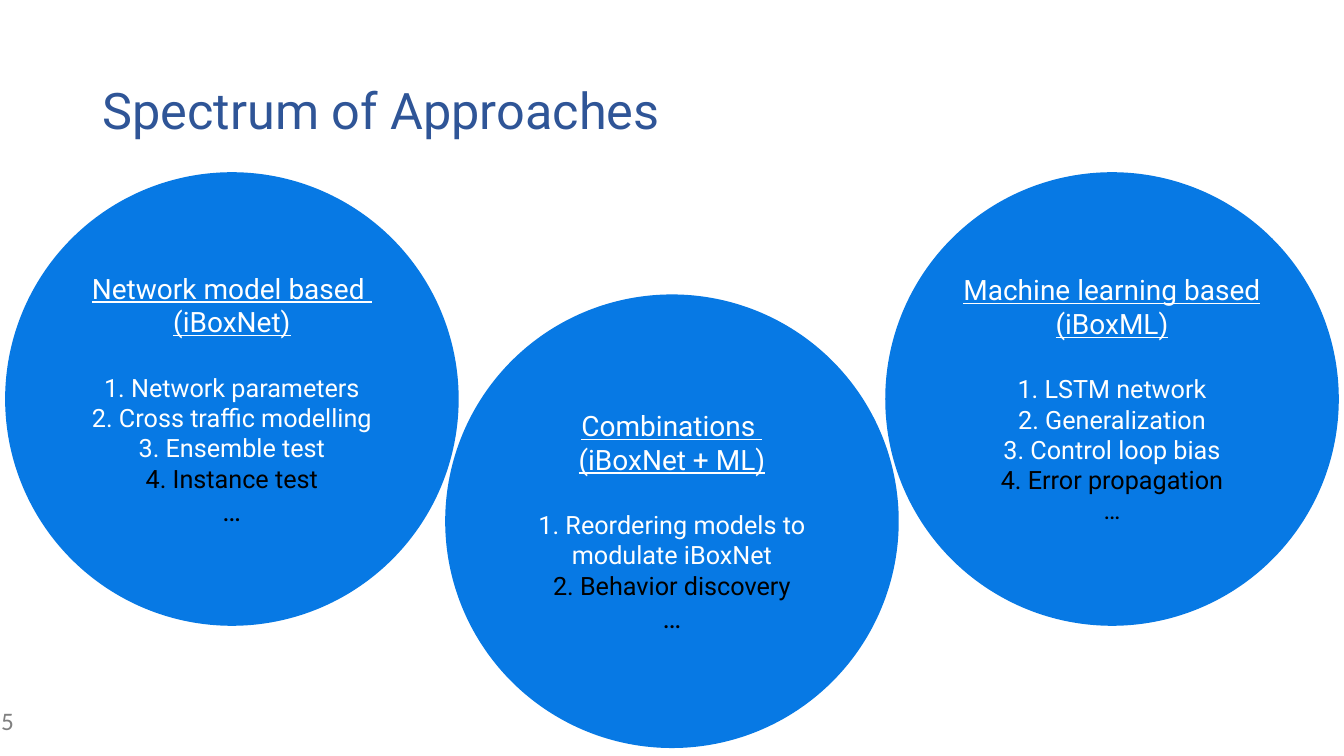
from dataclasses import dataclass

from pptx import Presentation
from pptx import util as u
from pptx.dml.color import RGBColor
from pptx.enum import shapes, text

TITLE = "Spectrum of Approaches"
PAGE = "5"
APPROACHES = [
    {"heading": ["Network model based ", "(iBoxNet)"],
     "done": ["1. Network parameters", "2. Cross traffic modelling", "3. Ensemble test"],
     "open": "4. Instance test", "dots": 20},
    {"heading": ["Combinations ", "(iBoxNet + ML)"],
     "done": ["1. Reordering models to modulate iBoxNet"],
     "open": "2. Behavior discovery", "dots": 20},
    {"heading": ["Machine learning based ", "(iBoxML)"],
     "done": ["1. LSTM network", "2. Generalization", "3. Control loop bias"],
     "open": "4. Error propagation", "dots": 18},
]


@dataclass(frozen=True)
class Theme:
    font: str = "Roboto"
    page_font: str = "Calibri"
    circle: str = "0779E4"
    title: str = "2F5597"
    light: str = "FFFFFF"
    dark: str = "000000"
    grey: str = "808080"
    title_size: int = 36
    heading_size: int = 20
    item_size: int = 18


T = Theme()
DIAMETER, LEFT, STEP = 11.43, 0.13, 11.09
HIGH, LOW = 4.34, 7.42
LIST_GAP = 24


def add_text(tf, words, size=T.item_size, color=T.light, font=T.font,
             underline=False, align=text.PP_ALIGN.CENTER, before=0, spacing=1.0):
    p = tf.paragraphs[0]
    if p.runs:
        p = tf.add_paragraph()
    p.alignment = align
    p.line_spacing = spacing
    if before:
        p.space_before = u.Pt(before)
    r = p.add_run()
    r.text = words
    r.font.name = font
    r.font.size = u.Pt(size)
    r.font.underline = underline
    r.font.color.rgb = RGBColor.from_string(color)


def add_box(s, left, top, width, height):
    tf = s.shapes.add_textbox(u.Cm(left), u.Cm(top), u.Cm(width), u.Cm(height)).text_frame
    tf.word_wrap = True
    return tf


def add_circle(s, left, top, approach):
    sp = s.shapes.add_shape(shapes.MSO_SHAPE.OVAL, u.Cm(left), u.Cm(top),
                            u.Cm(DIAMETER), u.Cm(DIAMETER))
    sp.shadow.inherit = False
    sp.fill.solid()
    sp.fill.fore_color.rgb = RGBColor.from_string(T.circle)
    sp.line.fill.background()
    tf = sp.text_frame
    tf.word_wrap = True
    tf.vertical_anchor = text.MSO_ANCHOR.MIDDLE
    for words in approach["heading"]:
        add_text(tf, words, size=T.heading_size, underline=True)
    for i, words in enumerate(approach["done"]):
        add_text(tf, words, before=0 if i else LIST_GAP)
    add_text(tf, approach["open"], color=T.dark)
    add_text(tf, "…", size=approach["dots"], color=T.dark)


def main():
    prs = Presentation()
    prs.slide_width, prs.slide_height = u.Cm(33.87), u.Cm(19.05)
    s = prs.slides.add_slide(prs.slide_layouts[6])

    tf = add_box(s, 0, 17.65, 7.4, 1.02)
    tf.margin_left = u.Cm(0.03)
    add_text(tf, PAGE, color=T.grey, font=T.page_font, align=text.PP_ALIGN.LEFT)

    for i, approach in enumerate(APPROACHES):
        add_circle(s, LEFT + i * STEP, LOW if i % 2 else HIGH, approach)

    tf = add_box(s, 2.34, 1.02, 29.21, 3.68)
    tf.vertical_anchor = text.MSO_ANCHOR.MIDDLE
    add_text(tf, TITLE, size=T.title_size, color=T.title,
             align=text.PP_ALIGN.LEFT, spacing=0.9)

    prs.save("out.pptx")


if __name__ == "__main__":
    main()
